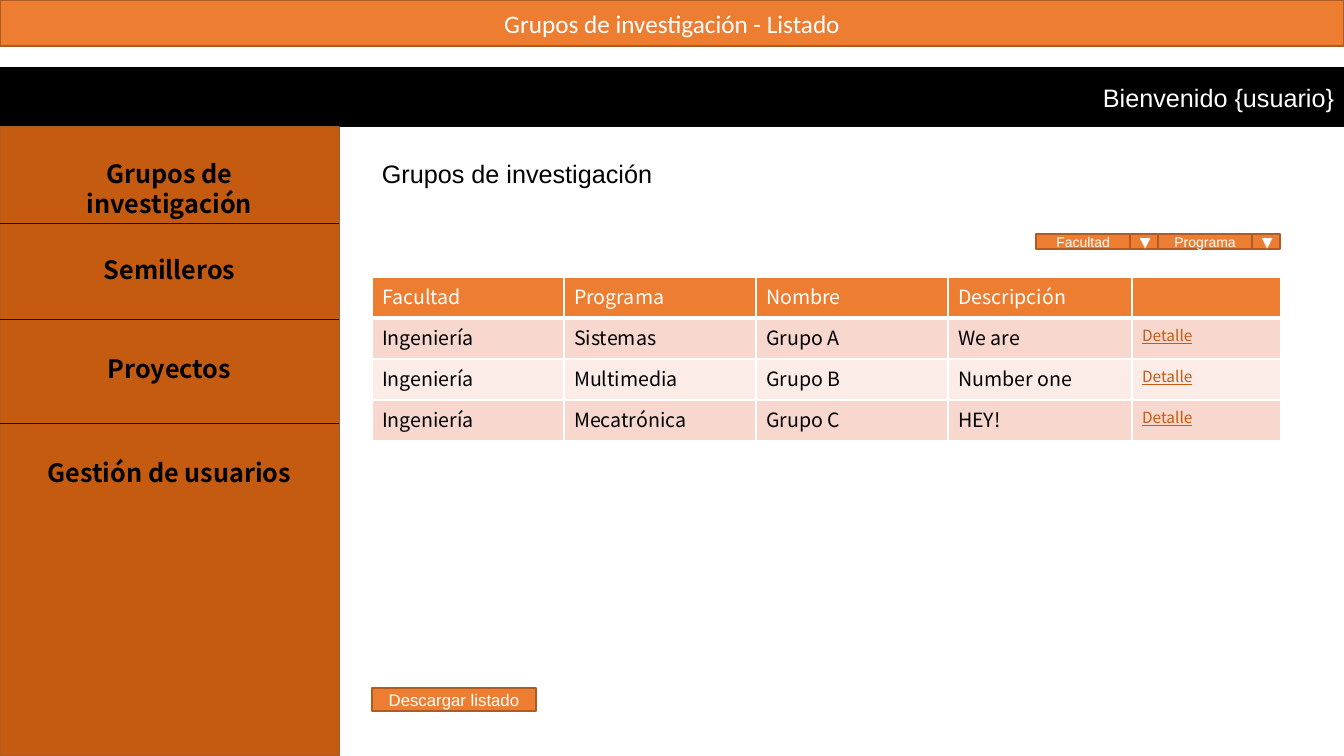
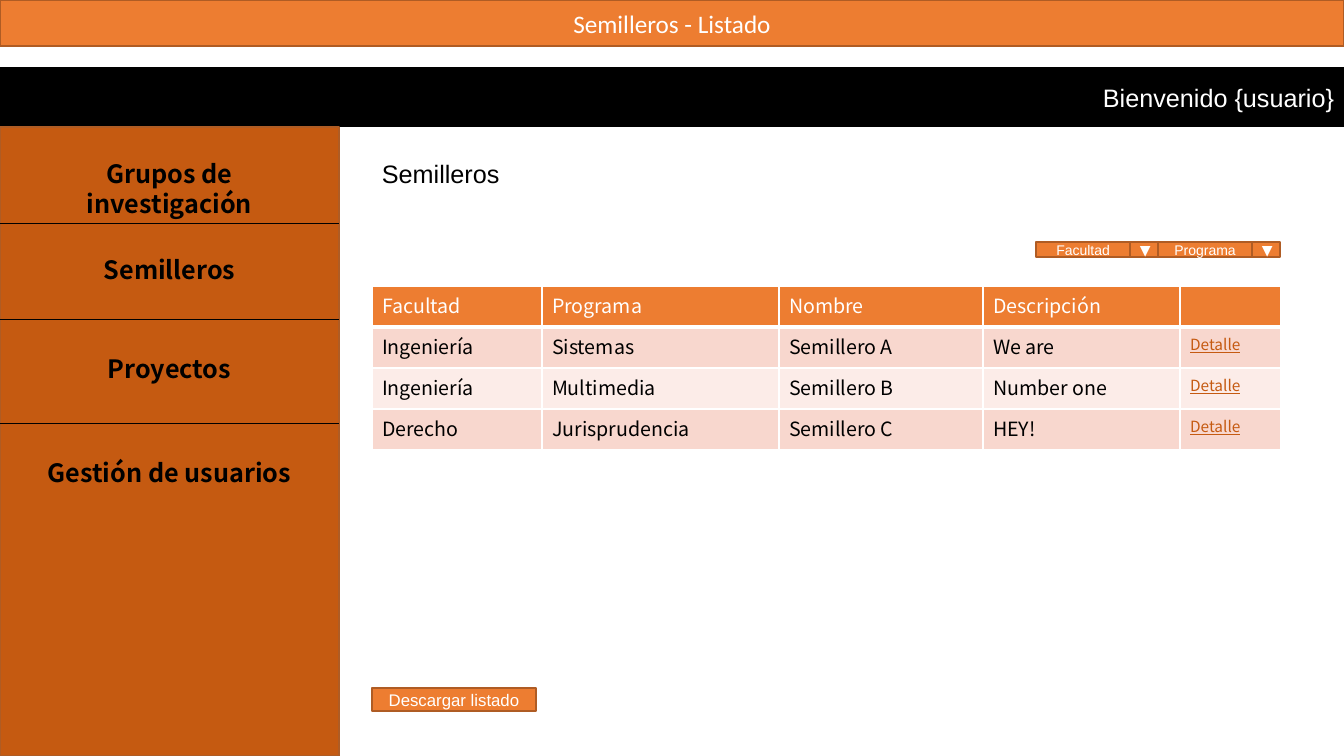
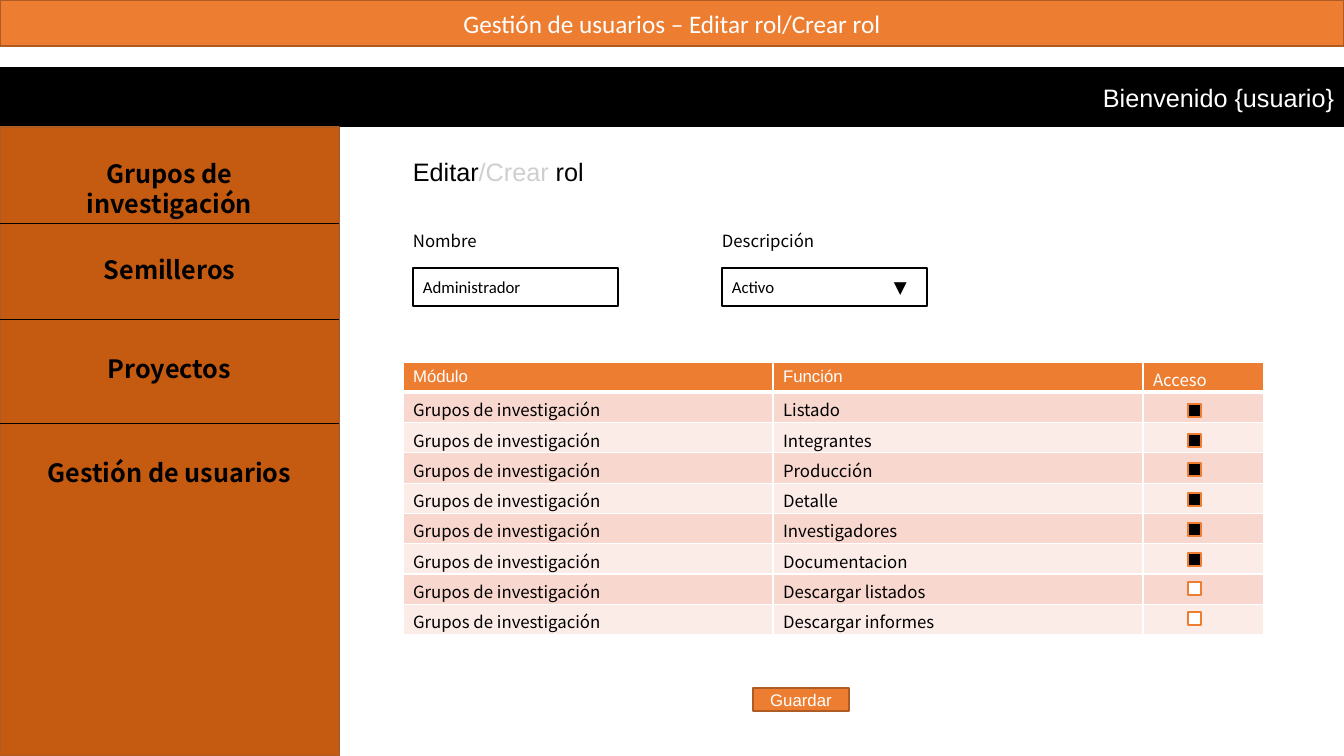
from lxml.etree import SubElement
from pptx import Presentation
from pptx.dml.color import RGBColor
from pptx.enum.shapes import MSO_CONNECTOR, MSO_SHAPE
from pptx.enum.text import MSO_ANCHOR, PP_ALIGN
from pptx.oxml.ns import qn
from pptx.util import Pt

PX = 914400 / 100.8
WIDE, HIGH, SIDE = 1344, 756, 339
ORANGE, RUST, EDGE = "ED7D31", "C55A11", "AF5C24"
BLACK, WHITE, GREY = "000000", "FFFFFF", "D0CECE"
BANDS = "F8D7CE", "FCECE8"
ARIAL, CALI, NOTO = "Arial", "Calibri", "Noto Sans CJK SC"
LEFT, MID, RIGHT = PP_ALIGN.LEFT, PP_ALIGN.CENTER, PP_ALIGN.RIGHT
MENU = [("Grupos de investigación", 153), ("Semilleros", 249),
        ("Proyectos", 348), ("Gestión de usuarios", 452)]
RULES = 223, 319, 423
GROUPS = [
    ["Facultad", "Programa", "Nombre", "Descripción", ""],
    ["Ingeniería", "Sistemas", "Grupo A", "We are", "Detalle"],
    ["Ingeniería", "Multimedia", "Grupo B", "Number one", "Detalle"],
    ["Ingeniería", "Mecatrónica", "Grupo C", "HEY!", "Detalle"],
]
SEEDS = [
    ["Facultad", "Programa", "Nombre", "Descripción", ""],
    ["Ingeniería", "Sistemas", "Semillero A", "We are", "Detalle"],
    ["Ingeniería", "Multimedia", "Semillero B", "Number one", "Detalle"],
    ["Derecho", "Jurisprudencia", "Semillero C", "HEY!", "Detalle"],
]
TASKS = ["Listado", "Integrantes", "Producción", "Detalle", "Investigadores",
         "Documentacion", "Descargar listados", "Descargar informes"]
GRANTED = 6


def px(n):
    """Turn pixels into EMU."""
    return round(n * PX)


def color(code):
    """Turn a hex string into a colour."""
    return RGBColor.from_string(code)


def write(para, text, size, font, ink, bold=False, under=False):
    """Add one run to a paragraph."""
    run = para.add_run()
    run.text = text
    face = run.font
    face.size, face.name, face.bold, face.underline = Pt(size), font, bold, under
    face.color.rgb = color(ink)


def rect(slide, x, y, w, h, fill, edge):
    """Draw a plain rectangle and return its first paragraph."""
    shape = slide.shapes.add_shape(MSO_SHAPE.RECTANGLE, px(x), px(y), px(w), px(h))
    shape.shadow.inherit = False
    shape.fill.solid()
    shape.fill.fore_color.rgb = color(fill)
    shape.line.color.rgb = color(edge)
    shape.line.width = Pt(1)
    shape.text_frame.word_wrap = True
    shape.text_frame.vertical_anchor = MSO_ANCHOR.MIDDLE
    return shape.text_frame.paragraphs[0]


def bar(slide, x, y, w, h, text, size, font, fill=ORANGE, edge=EDGE, ink=WHITE, align=MID):
    """Draw a rectangle with one line of text and return the paragraph."""
    para = rect(slide, x, y, w, h, fill, edge)
    para.alignment = align
    write(para, text, size, font, ink)
    return para


def label(slide, x, y, w, runs, size, font, bold=False, align=LEFT):
    """Place a text box made of (text, ink) runs."""
    box = slide.shapes.add_textbox(px(x), px(y), px(w), px(40))
    box.text_frame.word_wrap = True
    para = box.text_frame.paragraphs[0]
    para.alignment = align
    for text, ink in runs:
        write(para, text, size, font, ink, bold)


def rule(slide, x, y, w):
    """Draw a thin level line."""
    line = slide.shapes.add_connector(MSO_CONNECTOR.STRAIGHT, px(x), px(y), px(x + w), px(y))
    line.line.color.rgb = color(BLACK)
    line.line.width = Pt(0.5)
    SubElement(line._element.spPr, qn("a:effectLst"))


def paint(cell, fill, base):
    """Give a cell white borders and a fill."""
    props = cell._tc.get_or_add_tcPr()
    for side, width in ("lnL", 1), ("lnR", 1), ("lnT", 1), ("lnB", base):
        line = SubElement(props, qn(f"a:{side}"), w=str(Pt(width)))
        SubElement(SubElement(line, qn("a:solidFill")), qn("a:srgbClr"), val=WHITE)
    cell.fill.solid()
    cell.fill.fore_color.rgb = color(fill)


def grid(slide, x, y, cols, tall, rows, style):
    """Build a banded table; style(row, col) gives the run settings."""
    frame = slide.shapes.add_table(len(rows), len(cols), px(x), px(y),
                                   px(sum(cols)), px(tall * len(rows)))
    table = frame.table
    for col, wide in zip(table.columns, cols):
        col.width = px(wide)
    for r, row in enumerate(rows):
        table.rows[r].height = px(tall)
        for c, text in enumerate(row):
            cell = table.cell(r, c)
            paint(cell, BANDS[(r - 1) % 2] if r else ORANGE, 1 if r else 3)
            para = cell.text_frame.paragraphs[0]
            if text:
                write(para, text, **style(r, c))
            else:
                SubElement(para._p, qn("a:endParaRPr"), sz="1200")


def list_style(r, c):
    """Style the cells of a listing."""
    if r and c == 4:
        return dict(size=11, font=NOTO, ink=RUST, under=True)
    return dict(size=14, font=NOTO, ink=BLACK if r else WHITE)


def role_style(r, c):
    """Style the cells of the role table."""
    return dict(size=12, font=NOTO if r or c == 2 else ARIAL, ink=BLACK if r else WHITE)


def page(deck, title):
    """Add a slide with its title, welcome band and side menu."""
    slide = deck.slides.add_slide(deck.slide_layouts[6])
    bar(slide, 0, 0, WIDE, 46, title, 18, CALI)
    bar(slide, 0, 68, WIDE, 58, "Bienvenido {usuario}", 18, ARIAL, BLACK, BLACK, align=RIGHT)
    rect(slide, 0, 127, SIDE, HIGH - 127, RUST, EDGE)
    for y in RULES:
        rule(slide, 0, y, SIDE)
    for text, y in MENU:
        label(slide, 15, y, SIDE - 30, [(text, BLACK)], 18, NOTO, True, MID)
    return slide


def drop(slide, x, y, text):
    """Draw a filter with its arrow button."""
    bar(slide, x, y, 94, 15, text, 10, ARIAL)
    bar(slide, x + 94, y, 28, 15, "▼", 10, CALI)


def listing(deck, name, top, cols, rows, gap):
    """Build a listing slide."""
    slide = page(deck, f"{name} - Listado")
    label(slide, 372, 153, 384, [(name, BLACK)], 18, ARIAL)
    grid(slide, 372, top + gap, cols, 41, rows, list_style)
    bar(slide, 372, 688, 164, 23, "Descargar listado", 12, ARIAL)
    for i, text in enumerate(["Facultad", "Programa"]):
        drop(slide, 1036 + 122 * i, top, text)


def field(slide, x, y, name, text):
    """Draw a form field under its name and return its paragraph."""
    label(slide, x - 10, y - 42, 234, [(name, BLACK)], 12, NOTO)
    return bar(slide, x, y, 205, 38, text, 12, CALI, WHITE, BLACK, BLACK, LEFT)


def role(deck):
    """Build the role form slide."""
    slide = page(deck, "Gestión de usuarios – Editar rol/Crear rol")
    label(slide, 403, 151, 339, [("Editar", BLACK), ("/Crear", GREY), (" rol", BLACK)], 18, ARIAL)
    field(slide, 413, 268, "Nombre", "Administrador")
    state = field(slide, 722, 268, "Descripción", "Activo\t▼")
    tabs = SubElement(state._p.get_or_add_pPr(), qn("a:tabLst"))
    SubElement(tabs, qn("a:tab"), pos=str(px(162)), algn="l")
    rows = [["Módulo", "Función", "Acceso"]]
    rows += [["Grupos de investigación", task, ""] for task in TASKS]
    grid(slide, 403, 362, [370, 370, 121], 30, rows, role_style)
    for i in range(len(TASKS)):
        rect(slide, 1188, 404 + round(i * 208 / 7), 13, 13,
             BLACK if i < GRANTED else WHITE, ORANGE)
    bar(slide, 753, 688, 96, 23, "Guardar", 12, ARIAL)


def main():
    """Build and save the deck."""
    deck = Presentation()
    deck.slide_width, deck.slide_height = px(WIDE), px(HIGH)
    listing(deck, "Grupos de investigación", 234, [192, 192, 192, 184, 149], GROUPS, 43)
    listing(deck, "Semilleros", 242, [170, 237, 204, 197, 101], SEEDS, 44)
    role(deck)
    deck.save("out.pptx")


if __name__ == "__main__":
    main()
